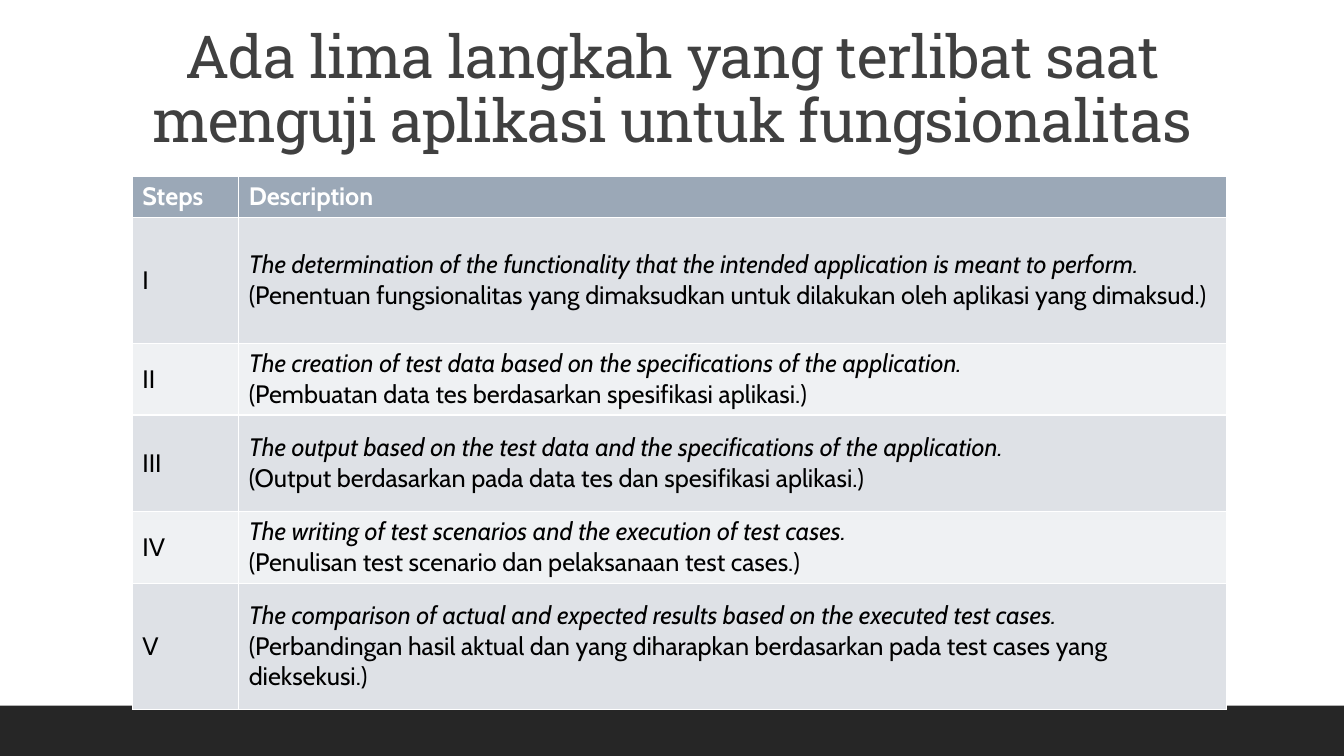
from pptx import Presentation
from pptx.dml.color import RGBColor
from pptx.enum.shapes import MSO_SHAPE
from pptx.enum.text import MSO_ANCHOR, MSO_AUTO_SIZE, PP_ALIGN
from pptx.util import Pt

COLORS = {
    "band": "262626",
    "title": "404040",
    "header": "9BA8B7",
    "odd": "DEE1E6",
    "even": "EFF1F3",
    "white": "FFFFFF",
    "black": "000000",
}
STEPS = [
    ("I", "The determination of the functionality that the intended application is meant to perform.",
     "(Penentuan fungsionalitas yang dimaksudkan untuk dilakukan oleh aplikasi yang dimaksud.)"),
    ("II", "The creation of test data based on the specifications of the application.",
     "(Pembuatan data tes berdasarkan spesifikasi aplikasi.)"),
    ("III", "The output based on the test data and the specifications of the application.",
     "(Output berdasarkan pada data tes dan spesifikasi aplikasi.)"),
    ("IV", "The writing of test scenarios and the execution of test cases.",
     "(Penulisan test scenario dan pelaksanaan test cases.)"),
    ("V", "The comparison of actual and expected results based on the executed test cases.",
     "(Perbandingan hasil aktual dan yang diharapkan berdasarkan pada test cases yang dieksekusi.)"),
]
COLUMN_WIDTHS = [76, 705.5]
ROW_HEIGHTS = [27.5, 90, 48, 69, 48, 90]


def color(name):
    return RGBColor.from_string(COLORS[name])


def style_run(span, font, size, color_name):
    span.font.name = font
    span.font.size = Pt(size)
    span.font.color.rgb = color(color_name)


deck = Presentation()
deck.slide_width = Pt(960)
deck.slide_height = Pt(540)
page = deck.slides.add_slide(deck.slide_layouts[5])

band = page.shapes.add_shape(MSO_SHAPE.RECTANGLE, Pt(0), Pt(504), Pt(960), Pt(36))
band.shadow.inherit = False
band.fill.solid()
band.fill.fore_color.rgb = color("band")
band.line.fill.background()

title = page.shapes.title
title.left, title.top, title.width, title.height = Pt(84), Pt(0), Pt(792), Pt(114.5)
frame = title.text_frame
frame.text = "Ada lima langkah yang terlibat saat menguji aplikasi untuk fungsionalitas"
frame.word_wrap = True
frame.auto_size = MSO_AUTO_SIZE.NONE
frame.vertical_anchor = MSO_ANCHOR.BOTTOM
para = frame.paragraphs[0]
para.alignment = PP_ALIGN.CENTER
para.line_spacing = 0.9
span = para.runs[0]
style_run(span, "Roboto Slab", 42.3, "title")
span.font._element.set("spc", "-50")

rows = [("Steps", "Description")]
rows += [(step, f"{english}\n{indonesian}") for step, english, indonesian in STEPS]
table = page.shapes.add_table(
    len(rows), len(COLUMN_WIDTHS), Pt(94.5), Pt(126), Pt(sum(COLUMN_WIDTHS)), Pt(sum(ROW_HEIGHTS))
).table
for column, width in zip(table.columns, COLUMN_WIDTHS):
    column.width = Pt(width)

for row_index, (texts, height) in enumerate(zip(rows, ROW_HEIGHTS)):
    table.rows[row_index].height = Pt(height)
    is_header = row_index == 0
    fill_name = "header" if is_header else "odd" if row_index % 2 else "even"
    for column_index, text in enumerate(texts):
        cell = table.cell(row_index, column_index)
        cell.text_frame.text = text
        cell.vertical_anchor = MSO_ANCHOR.MIDDLE
        cell.fill.solid()
        cell.fill.fore_color.rgb = color(fill_name)
        for line_index, para in enumerate(cell.text_frame.paragraphs):
            span = para.runs[0]
            style_run(span, "Cabin", 18, "white" if is_header else "black")
            span.font.bold = is_header
            span.font.italic = not is_header and column_index == 1 and line_index == 0

deck.save("out.pptx")
